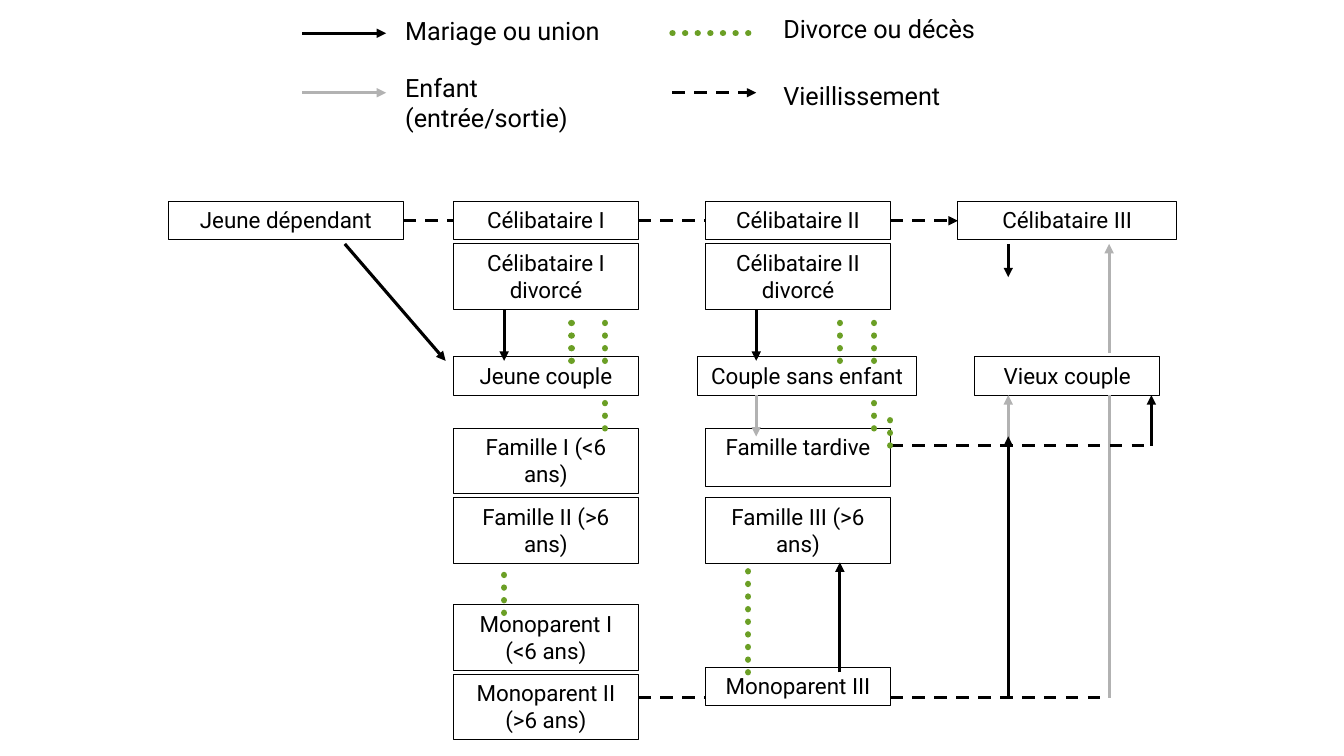
from dataclasses import dataclass
from itertools import pairwise

from lxml.etree import SubElement
from pptx import Presentation
from pptx.dml.color import RGBColor
from pptx.enum.dml import MSO_LINE_DASH_STYLE as Dash
from pptx.enum.shapes import MSO_CONNECTOR_TYPE as ConnectorType
from pptx.enum.shapes import MSO_SHAPE as Preset
from pptx.enum.text import MSO_ANCHOR as Anchor
from pptx.enum.text import MSO_AUTO_SIZE as AutoSize
from pptx.enum.text import PP_ALIGN as Align
from pptx.oxml.ns import qn
from pptx.shapes.connector import Connector
from pptx.slide import Slide
from pptx.text.text import TextFrame
from pptx.util import Inches, Pt

FONT = "Roboto"
BLACK = "000000"
GREY = "B2B2B2"
GREEN = "6B9F25"
LEFT_SIDE, RIGHT_SIDE = 1, 3


@dataclass(frozen=True)
class Household:
    label: str
    left: float
    top: float
    width: float = 1.83
    height: float = 0.38
    grows: bool = True


@dataclass(frozen=True)
class Stroke:
    color: str
    width: float = 2.25
    dash: Dash | None = None


@dataclass(frozen=True)
class Transition:
    stroke: Stroke
    x1: float
    y1: float
    x2: float
    y2: float
    arrow: bool = True


@dataclass(frozen=True)
class LegendEntry:
    label: str
    stroke: Stroke
    line_left: float
    line_top: float
    text_left: float
    text_top: float
    text_height: float = 0.4
    arrow: bool = True


UNION = Stroke(BLACK)
CHILD = Stroke(GREY)
SEPARATION = Stroke(GREEN, 4.5, Dash.ROUND_DOT)
AGEING = Stroke(BLACK, dash=Dash.DASH)

TALL = 0.65
FIRST, SECOND = 4.5, 7
SINGLES = [
    Household("Jeune dépendant", 1.67, 2, 2.33),
    Household("Célibataire I", FIRST, 2),
    Household("Célibataire II", SECOND, 2),
    Household("Célibataire III", 9.5, 2, 2.17),
]
OTHERS = [
    Household("Célibataire I divorcé", FIRST, 2.42, height=TALL),
    Household("Célibataire II divorcé", SECOND, 2.42, height=TALL),
    Household("Jeune couple", FIRST, 3.54),
    Household("Couple sans enfant", 6.92, 3.54, 2.17),
    Household("Vieux couple", 9.67, 3.54),
    Household("Famille I (<6 ans)", FIRST, 4.25, height=TALL),
    Household("Famille II (>6 ans)", FIRST, 4.94, height=TALL),
    Household("Famille tardive", SECOND, 4.25, height=0.58, grows=False),
    Household("Famille III (>6 ans)", SECOND, 4.94, height=TALL),
    Household("Monoparent I (<6 ans)", FIRST, 6, height=TALL),
    Household("Monoparent II (>6 ans)", FIRST, 6.69, height=TALL),
    Household("Monoparent III", SECOND, 6.62),
]
TRANSITIONS = [
    Transition(UNION, 3.42, 2.42, 4.42, 3.58),
    Transition(UNION, 5, 3.08, 5, 3.58),
    Transition(UNION, 7.5, 3.08, 7.5, 3.58),
    Transition(UNION, 10, 2.42, 10, 2.75),
    Transition(AGEING, 6.33, 6.92, 7, 6.92, False),
    Transition(AGEING, 8.83, 6.92, 11, 6.92, False),
    Transition(CHILD, 11, 6.92, 11, 3.92, False),
    Transition(CHILD, 11, 3.5, 11, 2.42),
    Transition(CHILD, 10, 4.42, 10, 3.92),
    Transition(AGEING, 8.83, 4.42, 11.42, 4.42, False),
    Transition(UNION, 11.42, 4.42, 11.42, 3.92),
    Transition(UNION, 10, 6.92, 10, 4.33),
    Transition(UNION, 8.33, 6.67, 8.33, 5.58),
    Transition(CHILD, 7.5, 3.92, 7.5, 4.33),
]
SEPARATIONS = [
    (5.67, 3.58, 3.08),
    (6, 3.58, 3.08),
    (5, 6.08, 5.58),
    (7.42, 6.67, 5.58),
    (8.33, 3.58, 3.08),
    (8.67, 3.58, 3.08),
    (8.67, 4.25, 3.92),
    (6, 4.25, 3.92),
    (8.83, 4.42, 4.08),
]
LEGEND = [
    LegendEntry("Mariage ou union", UNION, 3, 0.33, 3.92, 0.1),
    LegendEntry("Enfant (entrée/sortie)", CHILD, 3, 0.92, 3.92, 0.67, 0.7),
    LegendEntry("Divorce ou décès", SEPARATION, 6.67, 0.33, 7.67, 0.08, arrow=False),
    LegendEntry("Vieillissement", AGEING, 6.67, 0.92, 7.67, 0.75),
]


def rgb(value: str) -> RGBColor:
    return RGBColor.from_string(value)


def write(frame: TextFrame, label: str, size: float, align: Align, grows: bool = True) -> None:
    frame.text = label
    frame.word_wrap = True
    frame.vertical_anchor = Anchor.TOP
    frame.auto_size = AutoSize.SHAPE_TO_FIT_TEXT if grows else AutoSize.NONE
    para = frame.paragraphs[0]
    para.alignment = align
    font = para.runs[0].font
    font.name = FONT
    font.size = Pt(size)
    font.color.rgb = rgb(BLACK)


def draw_household(page: Slide, household: Household):
    box = page.shapes.add_shape(
        Preset.RECTANGLE,
        Inches(household.left),
        Inches(household.top),
        Inches(household.width),
        Inches(household.height),
    )
    box.shadow.inherit = False
    box.fill.background()
    box.line.color.rgb = rgb(BLACK)
    box.line.width = Pt(0.75)
    write(box.text_frame, household.label, 16, Align.CENTER, household.grows)
    return box


def draw_transition(page: Slide, move: Transition) -> Connector:
    ends = [Inches(value) for value in (move.x1, move.y1, move.x2, move.y2)]
    connector = page.shapes.add_connector(ConnectorType.STRAIGHT, *ends)
    connector.line.color.rgb = rgb(move.stroke.color)
    connector.line.width = Pt(move.stroke.width)
    outline = connector.line._get_or_add_ln()
    if move.stroke.dash is not None:
        connector.line.dash_style = move.stroke.dash
    if move.stroke.dash == Dash.ROUND_DOT:
        outline.set("cap", "rnd")
    if move.arrow:
        SubElement(outline, qn("a:tailEnd"), type="triangle")
    SubElement(connector._element.spPr, qn("a:effectLst"))
    return connector


def draw_legend_entry(page: Slide, entry: LegendEntry) -> None:
    left, top = entry.line_left, entry.line_top
    draw_transition(page, Transition(entry.stroke, left, top, left + 0.83, top, entry.arrow))
    box = page.shapes.add_textbox(
        Inches(entry.text_left), Inches(entry.text_top), Inches(2.42), Inches(entry.text_height)
    )
    write(box.text_frame, entry.label, 18, Align.LEFT)


def main() -> None:
    deck = Presentation()
    deck.slide_width = Inches(13.33)
    deck.slide_height = Inches(7.5)
    page = deck.slides.add_slide(deck.slide_layouts[6])
    singles = [draw_household(page, household) for household in SINGLES]
    for household in OTHERS:
        draw_household(page, household)
    for before, after in pairwise(singles):
        connector = draw_transition(page, Transition(AGEING, 0, 0, 0, 0, after is singles[-1]))
        connector.begin_connect(before, RIGHT_SIDE)
        connector.end_connect(after, LEFT_SIDE)
    for move in TRANSITIONS:
        draw_transition(page, move)
    for x, bottom, top in SEPARATIONS:
        draw_transition(page, Transition(SEPARATION, x, bottom, x, top, False))
    for entry in LEGEND:
        draw_legend_entry(page, entry)
    deck.save("out.pptx")


if __name__ == "__main__":
    main()
